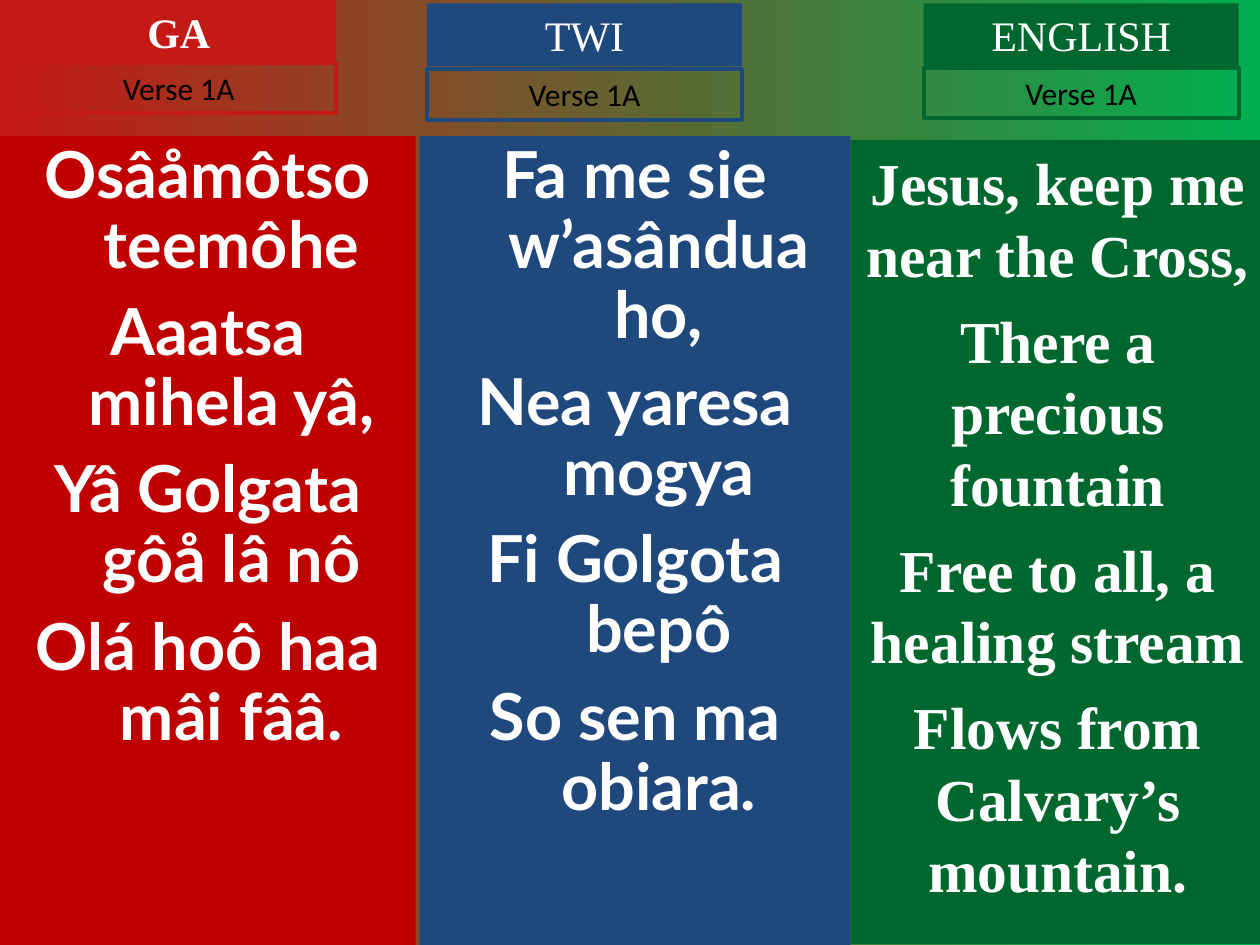
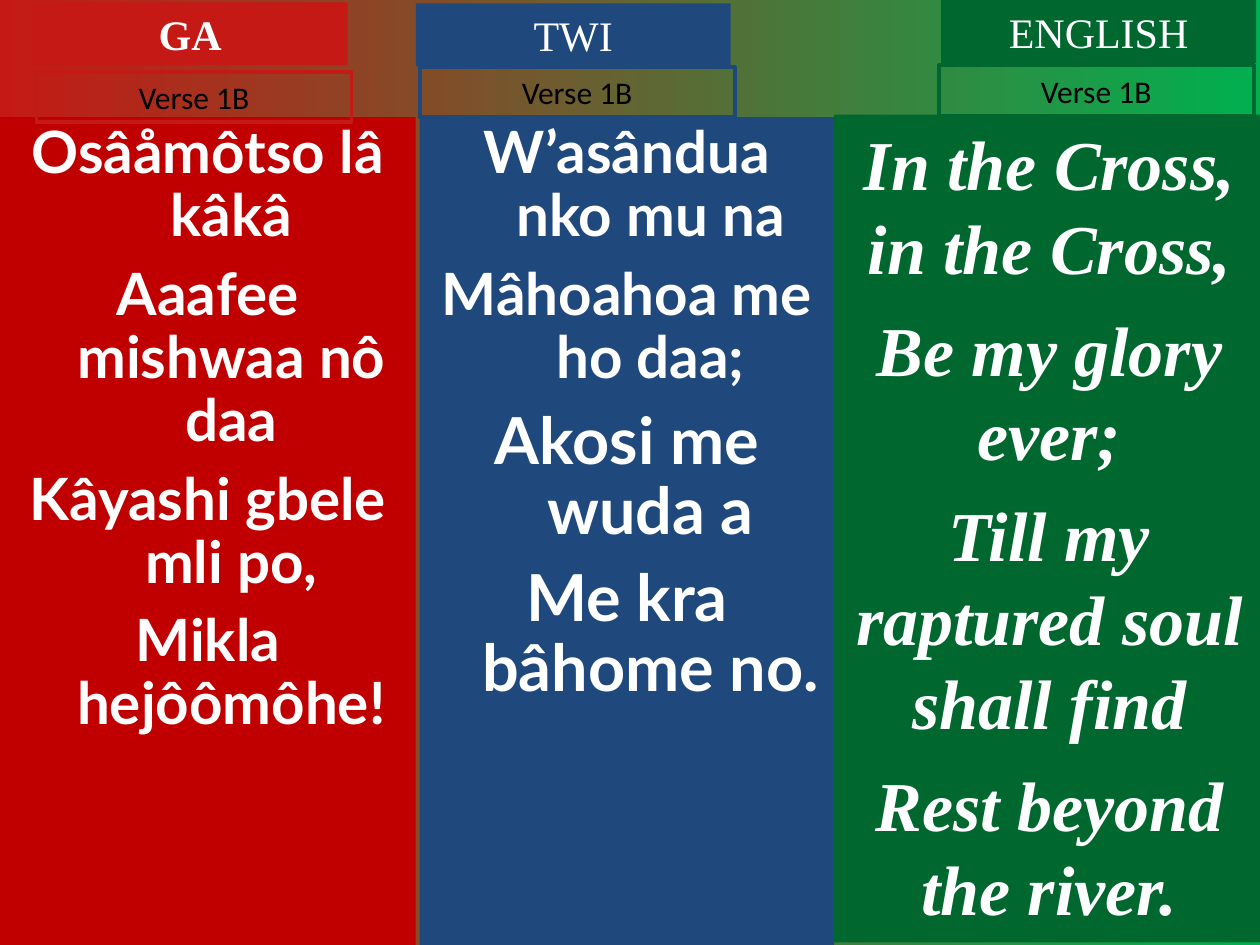
from pptx import Presentation
from pptx.dml.color import RGBColor as Rgb
from pptx.enum.shapes import MSO_SHAPE as Shape
from pptx.enum.text import MSO_ANCHOR as Anchor, PP_ALIGN as Align
from pptx.util import Pt

COLORS = {
    "ga": "C51915", "ga_body": "C00000", "twi": "1F497D", "english": "00682F",
    "fade_end": "00B050", "white": "FFFFFF", "black": "000000",
}
SERIF = "Times New Roman"
HEADER_SIZE = (180, 36)
LABEL_SIZE = (180, 28.8)


def add_panel(page, area, fill=None, outline=None):
    box = page.shapes.add_shape(Shape.RECTANGLE, *[Pt(length) for length in area])
    box.shadow.inherit = False
    if fill:
        box.fill.solid()
        box.fill.fore_color.rgb = Rgb.from_string(COLORS[fill])
    else:
        box.fill.background()
    if outline:
        box.line.color.rgb = Rgb.from_string(COLORS[outline])
        box.line.width = Pt(2.25)
    else:
        box.line.fill.background()
    frame = box.text_frame
    frame.word_wrap = True
    frame.vertical_anchor = Anchor.TOP
    return frame


def add_line(frame, text, size, font, color="white", bold=False, italic=False):
    first = not frame.paragraphs[0].runs
    para = frame.paragraphs[0] if first else frame.add_paragraph()
    para.alignment = Align.CENTER
    span = para.add_run()
    span.text = text
    span.font.size = Pt(size)
    span.font.name = font
    span.font.bold = bold
    span.font.italic = italic
    span.font.color.rgb = Rgb.from_string(COLORS[color])
    return para, first


slides = [
    {
        "verse": "Verse 1A",
        "columns": [
            {"key": "ga", "title": "GA", "body": (0, 77.8, 237.6, 462.2),
             "header": (12.2, 0), "label": (12.2, 36), "sizes": [37] * 4,
             "lines": ["Osâåmôtso teemôhe", "Aaatsa mihela yâ,",
                       "Yâ Golgata gôå lâ nô", "Olá hoô haa mâi fââ."]},
            {"key": "twi", "title": "TWI", "body": (239.8, 77.8, 246.2, 462.2),
             "header": (244, 2), "label": (244, 39.6), "sizes": [37] * 4,
             "lines": ["Fa me sie w’asândua ho,", "Nea yaresa mogya",
                       "Fi Golgota bepô", "So sen ma obiara."]},
            {"key": "english", "title": "ENGLISH", "body": (486, 80, 236.9, 459.4),
             "header": (527.8, 2), "label": (527.8, 38.9), "sizes": [34] * 4,
             "lines": ["Jesus, keep me near the Cross,", "There a precious fountain",
                       "Free to all, a healing stream", "Flows from Calvary’s mountain."]},
        ],
    },
    {
        "verse": "Verse 1B",
        "italic_english": True,
        "columns": [
            {"key": "ga", "title": "GA", "body": (0, 67, 237.6, 473),
             "header": (18.7, 1.4), "label": (20.9, 41), "sizes": [33.3] * 4,
             "lines": ["Osâåmôtso lâ kâkâ", "Aaafee mishwaa nô daa",
                       "Kâyashi gbele mli po,", "Mikla hejôômôhe!"]},
            {"key": "twi", "title": "TWI", "body": (239.8, 67, 236.9, 473),
             "header": (237.6, 2), "label": (239.8, 38.2), "sizes": [33.3, 33.3, 37, 37],
             "lines": ["W’asândua nko mu na", "Mâhoahoa me ho daa;",
                       "Akosi me wuda a", "Me kra bâhome no."]},
            {"key": "english", "title": "ENGLISH", "body": (476.6, 65.5, 246.2, 473),
             "header": (537.8, 0), "label": (536.4, 37.4), "sizes": [40] * 4,
             "lines": ["In the Cross, in the Cross,", "Be my glory ever;",
                       "Till my raptured soul shall find", "Rest beyond the river."]},
        ],
    },
]

deck = Presentation()
deck.slide_width, deck.slide_height = Pt(720), Pt(540)

for slide in slides:
    page = deck.slides.add_slide(deck.slide_layouts[6])
    backdrop = page.background.fill
    backdrop.gradient()
    backdrop.gradient_angle = 0
    for stop, position, color in zip(backdrop.gradient_stops, (0, 1), ("ga", "fade_end")):
        stop.position = position
        stop.color.rgb = Rgb.from_string(COLORS[color])

    for column in slide["columns"]:
        key = column["key"]
        english = key == "english"
        frame = add_panel(page, column["body"], fill="ga_body" if key == "ga" else key)
        for text, size in zip(column["lines"], column["sizes"]):
            para, first = add_line(frame, text, size, SERIF if english else "Lato", bold=True,
                                   italic=english and slide.get("italic_english", False))
            para.line_spacing = 1.0 if english else 0.9
            if not first:
                para.space_before = Pt(round(size * (0.25 if english else 0.27), 1))
            if not english:
                indents = para._p.get_or_add_pPr()
                indents.set("marL", str(Pt(27)))
                indents.set("indent", str(Pt(-27)))

    for column in slide["columns"]:
        key = column["key"]
        header = add_panel(page, column["header"] + HEADER_SIZE, fill=key)
        add_line(header, column["title"], 24, SERIF, bold=key == "ga")
        label = add_panel(page, column["label"] + LABEL_SIZE, outline=key)
        add_line(label, slide["verse"], 18, "Calibri", "black")

deck.save("out.pptx")
